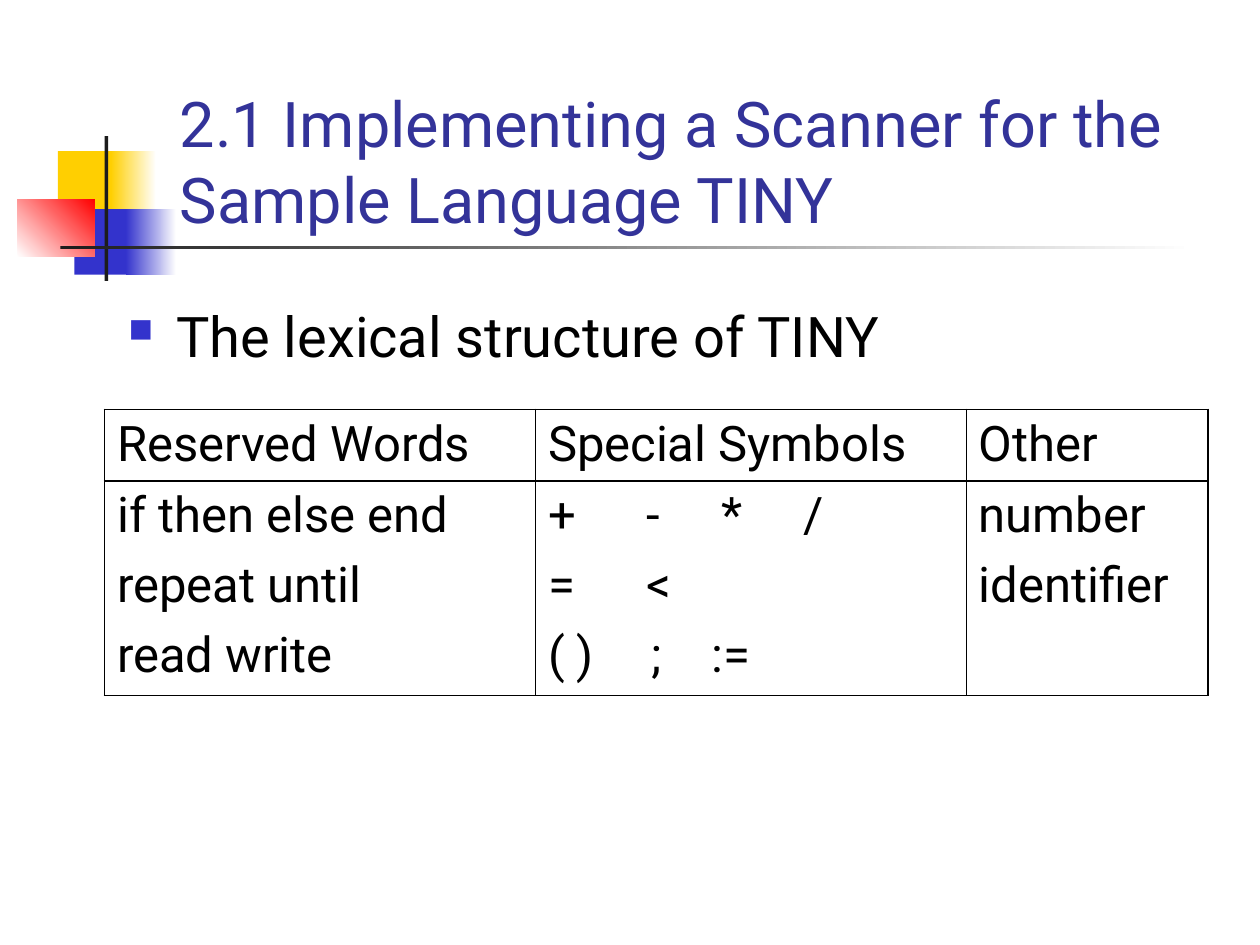
from dataclasses import dataclass

from lxml.etree import SubElement
from pptx import Presentation
from pptx.dml.color import RGBColor
from pptx.enum.shapes import MSO_SHAPE as Shape
from pptx.enum.text import MSO_ANCHOR as Anchor
from pptx.oxml.ns import qn
from pptx.util import Inches, Pt

FONT = "Roboto"
GOLD, BLUE, RED = "FFCF01", "3333CC", "FF0000"
DARK, WHITE, BLACK, NAVY = "1C1C1C", "FFFFFF", "000000", "333399"
THICK, THIN = 1.08, 0.45


@dataclass
class Bar:
    left: float
    top: float
    width: float
    height: float
    start: str
    end: str = ""
    angle: float = 0


@dataclass
class Line:
    text: str
    tabs: tuple = ()


BARS = [
    Bar(0.46, 1.2, 0.48, 0.52, GOLD),
    Bar(0.88, 1.2, 0.36, 0.52, GOLD, WHITE),
    Bar(0.59, 1.66, 0.46, 0.52, BLUE),
    Bar(1, 1.66, 0.4, 0.52, BLUE, WHITE),
    Bar(0.14, 1.58, 0.61, 0.46, WHITE, RED, 45),
    Bar(0.83, 1.08, 0.03, 1.15, DARK),
    Bar(0.48, 1.95, 9, 0.03, DARK, WHITE),
]
WIDTHS = [3.42, 3.42, 1.92]
HEIGHTS = [0.57, 1.7]
ROWS = [
    [[Line("Reserved Words")], [Line("Special Symbols")], [Line("Other")]],
    [
        [Line("if then else end"), Line("repeat until"), Line("read write")],
        [
            Line("+\t-\t*\t/", (0.78, 1.38, 2.03)),
            Line("=\t<", (0.78,)),
            Line("( )\t;\t:=", (0.82, 1.3)),
        ],
        [Line("number"), Line("identifier")],
    ],
]


def color(code: str) -> RGBColor:
    return RGBColor.from_string(code)


def style(para, size: float, code: str) -> None:
    font = para.font
    font.name, font.size = FONT, Pt(size)
    font.color.rgb = color(code)


def draw_bar(slide, bar: Bar) -> None:
    rect = slide.shapes.add_shape(
        Shape.RECTANGLE, Inches(bar.left), Inches(bar.top),
        Inches(bar.width), Inches(bar.height))
    rect.shadow.inherit = False
    rect.line.fill.background()
    if not bar.end:
        rect.fill.solid()
        rect.fill.fore_color.rgb = color(bar.start)
        return
    rect.fill.gradient()
    rect.fill.gradient_angle = bar.angle
    for stop, code, place in zip(rect.fill.gradient_stops, (bar.start, bar.end), (0, 1)):
        stop.color.rgb = color(code)
        stop.position = place


def add_text(slide, left: float, top: float, width: float, height: float, text: str):
    frame = slide.shapes.add_textbox(
        Inches(left), Inches(top), Inches(width), Inches(height)).text_frame
    frame.word_wrap = True
    frame.text = text
    return frame


def add_bullet(para) -> None:
    props = para._p.get_or_add_pPr()
    props.set("marL", str(Inches(0.38)))
    props.set("indent", str(Inches(-0.38)))
    tint = SubElement(props, qn("a:buClr"))
    SubElement(tint, qn("a:srgbClr"), val=BLUE)
    SubElement(props, qn("a:buSzPct"), val="60000")
    SubElement(props, qn("a:buChar"), char="■")


def add_tabs(para, tabs: tuple) -> None:
    stops = SubElement(para._p.get_or_add_pPr(), qn("a:tabLst"))
    for tab in tabs:
        SubElement(stops, qn("a:tab"), pos=str(Inches(tab)), algn="l")


def add_edges(cell, first: bool, last: bool) -> None:
    edges = {"L": THICK if first else THIN, "R": THICK if last else THIN,
             "T": THICK, "B": THICK}
    props = cell._tc.get_or_add_tcPr()
    for side, width in edges.items():
        edge = SubElement(props, qn(f"a:ln{side}"), w=str(Pt(width)))
        fill = SubElement(edge, qn("a:solidFill"))
        SubElement(fill, qn("a:srgbClr"), val=BLACK)


def fill_cell(cell, lines: list[Line]) -> None:
    frame = cell.text_frame
    for num, line in enumerate(lines):
        para = frame.add_paragraph() if num else frame.paragraphs[0]
        para.text = line.text
        if num:
            para.space_before = Pt(7)
        if line.tabs:
            add_tabs(para, line.tabs)
        style(para, 28, BLACK)


def draw_table(slide) -> None:
    table = slide.shapes.add_table(
        len(ROWS), len(WIDTHS), Inches(0.83), Inches(3.25),
        Inches(sum(WIDTHS)), Inches(sum(HEIGHTS))).table
    for col, width in zip(table.columns, WIDTHS):
        col.width = Inches(width)
    for row, height, cells in zip(table.rows, HEIGHTS, ROWS):
        row.height = Inches(height)
        for num, (cell, lines) in enumerate(zip(row.cells, cells)):
            add_edges(cell, num == 0, num == len(WIDTHS) - 1)
            cell.fill.background()
            fill_cell(cell, lines)


def main() -> None:
    deck = Presentation()
    deck.slide_width, deck.slide_height = Inches(10), Inches(7.5)
    slide = deck.slides.add_slide(deck.slide_layouts[6])
    for bar in BARS:
        draw_bar(slide, bar)

    title = add_text(slide, 1.33, 0.67, 8.42, 1.25,
                     "2.1 Implementing a Scanner for the Sample Language TINY")
    title.vertical_anchor = Anchor.BOTTOM
    style(title.paragraphs[0], 36, NAVY)

    body = add_text(slide, 0.92, 2.34, 8.92, 0.75, "The lexical structure of TINY")
    add_bullet(body.paragraphs[0])
    style(body.paragraphs[0], 32, BLACK)

    draw_table(slide)
    deck.save("out.pptx")


if __name__ == "__main__":
    main()
